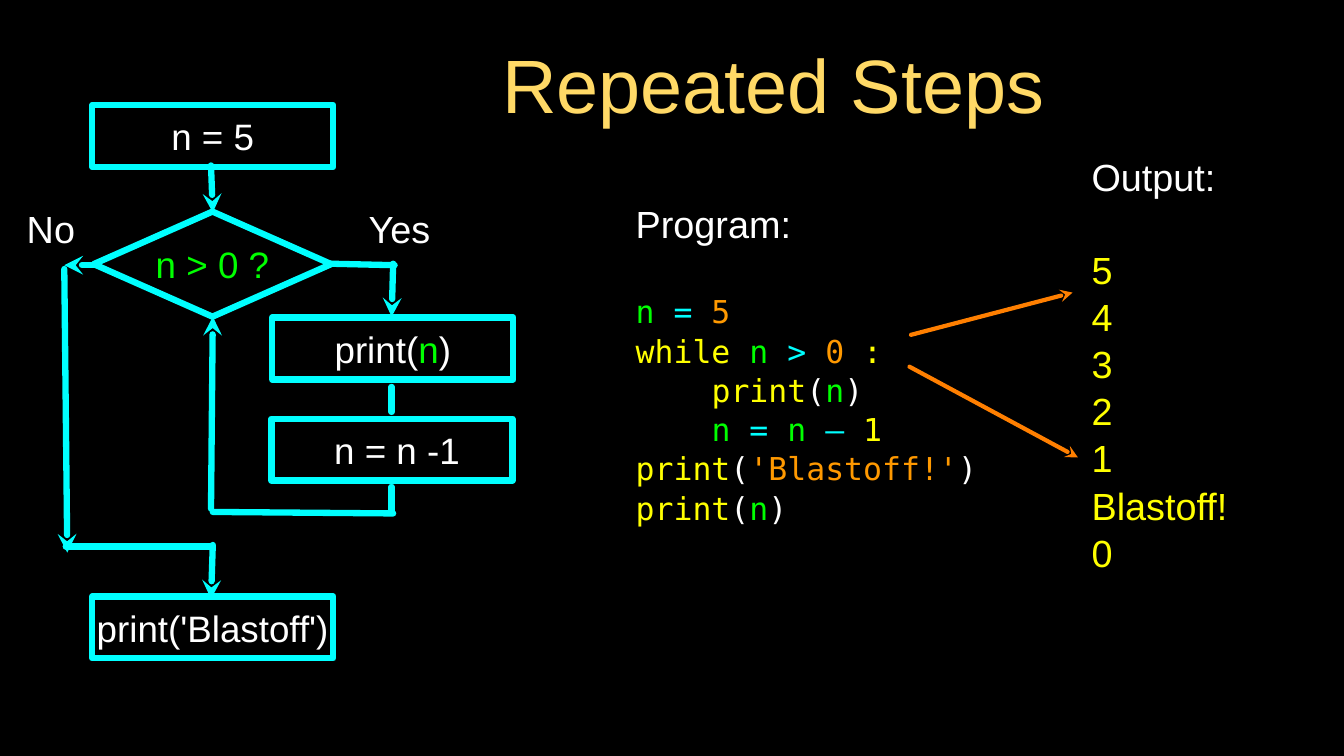
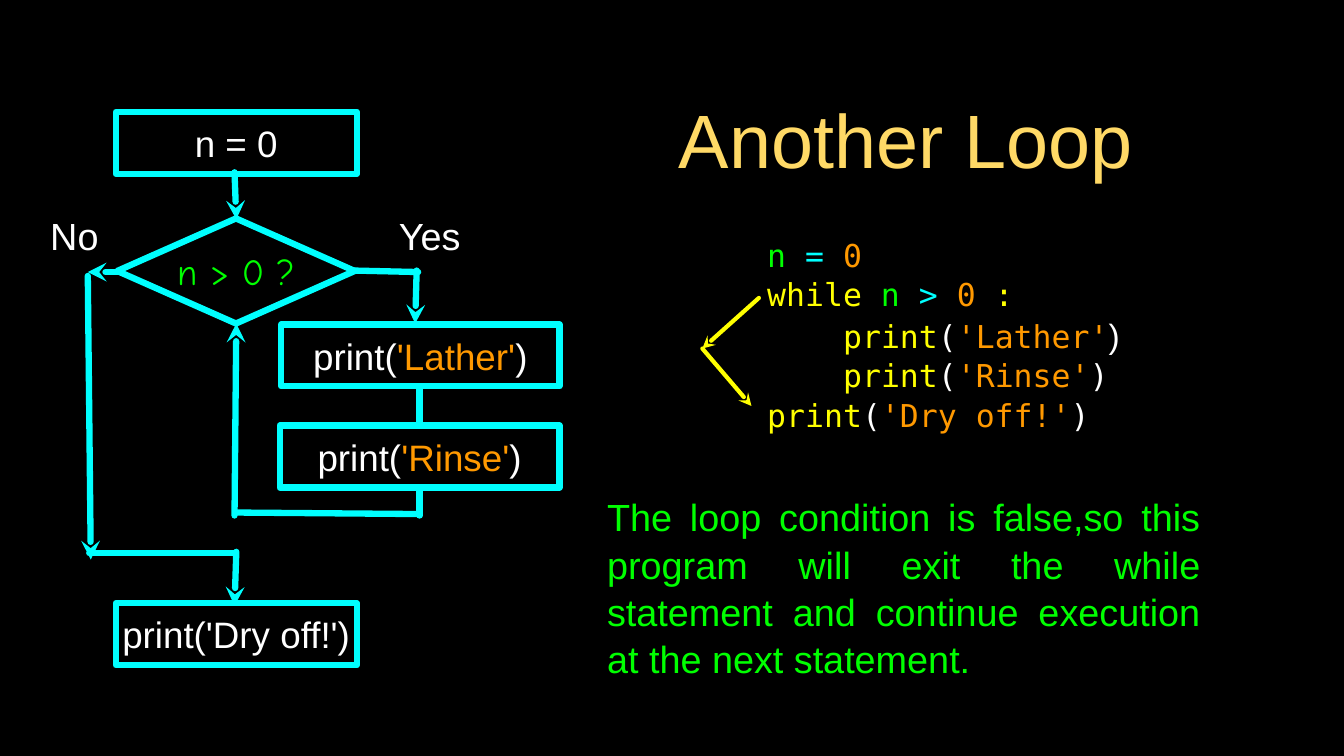
from lxml.etree import SubElement
from pptx import Presentation
from pptx.dml.color import RGBColor
from pptx.enum.shapes import MSO_CONNECTOR, MSO_SHAPE
from pptx.enum.text import MSO_ANCHOR, MSO_AUTO_SIZE, PP_ALIGN
from pptx.oxml.ns import qn
from pptx.util import Cm, Pt

COLOURS = {
    "background": "000000",
    "title": "FFD966",
    "flow": "00FFFF",
    "operator": "00FFFF",
    "variable": "00FF00",
    "keyword": "FFFF00",
    "literal": "FF9900",
    "plain": "FFFFFF",
    "pointer": "FF7F00",
}
SANS, MONO, COMIC = "Arial", "DejaVu Sans Mono", "Comic Neue"
TITLE_SIZE, LABEL_SIZE, BOX_SIZE, CODE_SIZE = 72, 36, 35, 30
FLOW_WIDTH, POINTER_WIDTH = 6, 4
LINE_SPACING = 1.04
HEADING_GAP = 43
CODE_INDENT = 2.55
BOX_WIDTH, BOX_HEIGHT = 8.1, 2.08
STEP_TOPS = (7.14, 10.54)


def rgb(name):
    return RGBColor.from_string(COLOURS[name])


def format_run(run, colour, size, font):
    run.font.name = font
    run.font.size = Pt(size)
    run.font.color.rgb = rgb(colour)


def prepare_frame(frame, inset=0):
    frame.word_wrap = True
    frame.auto_size = MSO_AUTO_SIZE.NONE
    frame.vertical_anchor = MSO_ANCHOR.MIDDLE
    frame.margin_left = frame.margin_right = Cm(inset)
    frame.margin_top = frame.margin_bottom = Cm(inset)


def write_runs(paragraph, pieces, size, font, align=PP_ALIGN.LEFT):
    paragraph.alignment = align
    for text, colour, *style in pieces:
        run = paragraph.add_run()
        run.text = text
        format_run(run, colour, *(style or (size, font)))


def next_paragraph(frame):
    first = frame.paragraphs[0]
    paragraph = frame.add_paragraph() if first.runs else first
    paragraph.line_spacing = LINE_SPACING
    return paragraph


def add_text_area(slide, left, top, width, height):
    frame = slide.shapes.add_textbox(
        Cm(left), Cm(top), Cm(width), Cm(height)).text_frame
    prepare_frame(frame)
    return frame


def add_heading(frame, text):
    heading = next_paragraph(frame)
    write_runs(heading, [(text, "plain")], LABEL_SIZE, SANS)
    heading.space_after = Pt(HEADING_GAP)


def add_code(frame, lines):
    for depth, pieces in lines:
        paragraph = next_paragraph(frame)
        write_runs(paragraph, pieces, CODE_SIZE, MONO)
        if depth:
            properties = paragraph._p.get_or_add_pPr()
            properties.set("marL", str(Cm(CODE_INDENT * depth)))
            properties.set("indent", "0")


def add_label(slide, text, left, top, width, height):
    frame = add_text_area(slide, left, top, width, height)
    write_runs(frame.paragraphs[0], [(text, "plain")],
               LABEL_SIZE, SANS, PP_ALIGN.CENTER)


def add_node(slide, kind, left, top, width, height, pieces, font=SANS):
    node = slide.shapes.add_shape(
        kind, Cm(left), Cm(top), Cm(width), Cm(height))
    node.shadow.inherit = False
    node.fill.background()
    node.line.color.rgb = rgb("flow")
    node.line.width = Pt(FLOW_WIDTH)
    prepare_frame(node.text_frame)
    write_runs(node.text_frame.paragraphs[0], pieces,
               BOX_SIZE, font, PP_ALIGN.CENTER)


def add_line(slide, start, end, arrow=False,
             colour="flow", width=FLOW_WIDTH):
    line = slide.shapes.add_connector(
        MSO_CONNECTOR.STRAIGHT, *(Cm(value) for value in (*start, *end)))
    line.line.color.rgb = rgb(colour)
    line.line.width = Pt(width)
    outline = line.line._get_or_add_ln()
    outline.set("cap", "rnd")
    if arrow:
        SubElement(outline, qn("a:tailEnd"), type="stealth")
    SubElement(line._element.spPr, qn("a:effectLst"))


def add_pointer(slide, start, end, colour):
    add_line(slide, start, end, True, colour, POINTER_WIDTH)


def add_titled_slide(deck, text, left, top, width, height):
    slide = deck.slides.add_slide(deck.slide_layouts[5])
    title = slide.shapes.title
    title.left, title.top = Cm(left), Cm(top)
    title.width, title.height = Cm(width), Cm(height)
    title.text_frame.text = text
    prepare_frame(title.text_frame, 0.1)
    paragraph = title.text_frame.paragraphs[0]
    paragraph.alignment = PP_ALIGN.CENTER
    format_run(paragraph.runs[0], "title", TITLE_SIZE, SANS)
    return slide


def add_flowchart(slide, left, top, start, steps, finish, step_boxes,
                  links, loop_bottom, yes_width, question_font=SANS):
    def at(x, y):
        return left + x, top + y

    routes = [
        ((3.99, 2.03), (4.05, 3.61), True),
        ((3.99, 13.56), (4.05, 7.11), True),
        ((8.0, 5.33), (10.16, 5.38), False),
        ((10.11, 5.33), (10.06, 7.11), True),
        ((4.05, loop_bottom), (10.11, loop_bottom + 0.05), False),
        ((0.18, 5.38), (-0.94, 5.38), True),
        ((-0.94, 5.51), (-0.84, 15.04), True),
        ((-0.89, 14.83), (3.99, 14.83), False),
        ((4.05, 14.78), (3.99, 16.59), True),
    ]
    routes += [((x, upper), (x, lower), False) for x, upper, lower in links]
    for origin, target, arrow in routes:
        add_line(slide, at(*origin), at(*target), arrow)

    add_node(slide, MSO_SHAPE.DIAMOND, *at(0.05, 3.58), 7.98, 3.53,
             [("n > 0 ?", "variable")], question_font)
    for y, text in ((0, start), (16.51, finish)):
        add_node(slide, MSO_SHAPE.RECTANGLE, *at(0, y),
                 BOX_WIDTH, BOX_HEIGHT, [(text, "plain")])
    for y, (x, width), pieces in zip(STEP_TOPS, step_boxes, steps):
        add_node(slide, MSO_SHAPE.RECTANGLE, *at(x, y),
                 width, BOX_HEIGHT, pieces)
    add_label(slide, "No", *at(-2.39, 3.28), 2.0, 1.73)
    add_label(slide, "Yes", *at(9.05, 3.28), yes_width, 1.73)


def print_call(argument, kind, name_colour="keyword", closing=()):
    return [("print", name_colour), ("(", "plain"), (argument, kind),
            (")", "plain", *closing)]


def print_step(argument, kind):
    return [("print(", "plain"), (argument, kind), (")", "plain")]


def loop_start(value):
    return [
        (0, [("n ", "variable"), ("= ", "operator"), (value, "literal")]),
        (0, [("while ", "keyword"), ("n ", "variable"), ("> ", "operator"),
             ("0", "literal"), (" :", "keyword")]),
    ]


def build_repeated_steps(deck):
    slide = add_titled_slide(deck, "Repeated Steps", 11.61, 1.14, 28.75, 3.33)
    add_flowchart(
        slide, 3.1, 3.53, "n = 5",
        [print_step("n", "variable"), [(" n = n -1", "plain")]],
        "print('Blastoff')",
        step_boxes=[(6.05, BOX_WIDTH), (6.02, BOX_WIDTH)],
        links=[(10.06, 9.47, 10.31), (10.06, 12.83, 13.67)],
        loop_bottom=13.67, yes_width=2.54)

    program = add_text_area(slide, 21.36, 6.02, 11.76, 12.32)
    add_heading(program, "Program:")
    add_code(program, loop_start("5") + [
        (1, print_call("n", "variable")),
        (1, [("n ", "variable"), ("= ", "operator"), ("n ", "variable"),
             ("–", "operator"), (" 1", "keyword")]),
        (0, print_call("'Blastoff!'", "literal")),
        (0, print_call("n", "variable")),
    ])

    output = add_text_area(slide, 36.68, 5.56, 4.8, 13.31)
    add_heading(output, "Output:")
    for printed in ("5", "4", "3", "2", "1", "Blastoff!", "0"):
        write_runs(next_paragraph(output), [(printed, "keyword")],
                   LABEL_SIZE, SANS)

    add_pointer(slide, (30.61, 11.25), (36.04, 9.83), "pointer")
    add_pointer(slide, (30.56, 12.32), (36.22, 15.37), "pointer")


def build_another_loop(deck):
    slide = add_titled_slide(deck, "Another Loop", 18.97, 2.26, 22.94, 4.78)
    add_flowchart(
        slide, 3.89, 3.76, "n = 0",
        [print_step("'Lather'", "literal"), print_step("'Rinse'", "literal")],
        "print('Dry off!')",
        step_boxes=[(5.56, 9.35), (5.51, 9.4)],
        links=[(10.21, 9.25, 10.54), (10.21, 12.62, 13.56)],
        loop_bottom=13.46, yes_width=3.0, question_font=COMIC)

    program = add_text_area(slide, 25.78, 7.37, 13.94, 7.7)
    add_code(program, loop_start("0") + [
        (1, print_call("'Lather'", "literal", closing=(32, SANS))),
        (1, print_call("'Rinse'", "literal")),
        (0, print_call("'Dry off!'", "literal")),
    ])

    explanation = add_text_area(slide, 20.4, 17.83, 19.94, 3.76)
    write_runs(next_paragraph(explanation), [(
        "The loop condition is false,so this program will exit the while "
        "statement and continue execution at the next statement.",
        "variable")], LABEL_SIZE, SANS, PP_ALIGN.JUSTIFY)

    skip_corner = (23.6, 11.71)
    add_pointer(slide, (25.5, 10.01), skip_corner, "keyword")
    add_pointer(slide, skip_corner, (25.25, 13.64), "keyword")


def main():
    deck = Presentation()
    deck.slide_width, deck.slide_height = Cm(45.16), Cm(25.4)
    backdrop = deck.slide_master.background.fill
    backdrop.solid()
    backdrop.fore_color.rgb = rgb("background")
    build_repeated_steps(deck)
    build_another_loop(deck)
    deck.save("out.pptx")


main()
